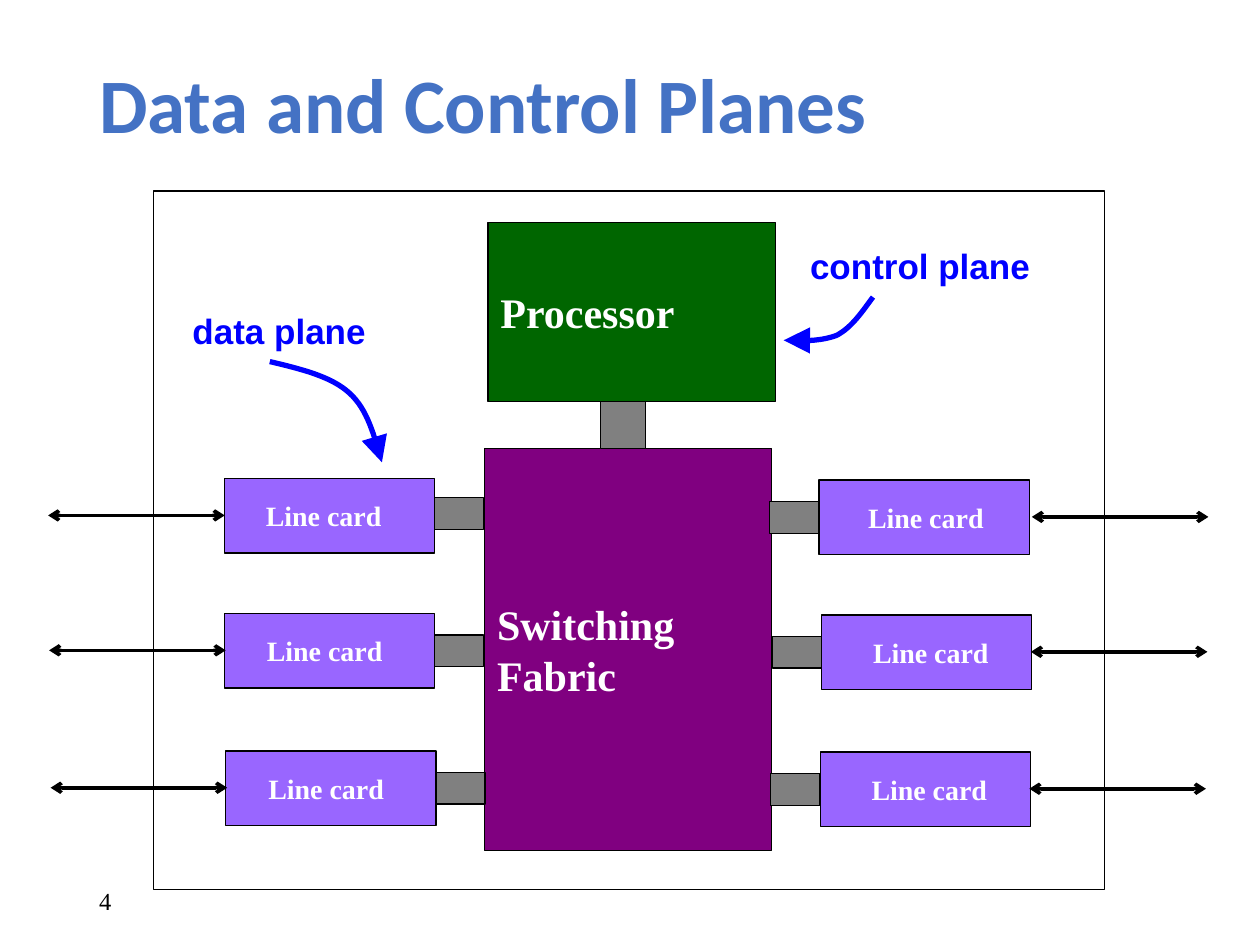
"""Build a slide showing the data and control planes of a router."""
from dataclasses import dataclass

import pptx
import pptx.dml.color
import pptx.enum.shapes
import pptx.enum.text
import pptx.oxml
import pptx.oxml.ns
import pptx.shapes.base
import pptx.slide
import pptx.util

Cm = pptx.util.Cm
Pt = pptx.util.Pt
RGBColor = pptx.dml.color.RGBColor
Anchor = pptx.enum.text.MSO_ANCHOR

BLACK = RGBColor(0x00, 0x00, 0x00)
WHITE = RGBColor(0xFF, 0xFF, 0xFF)
TITLE_BLUE = RGBColor(0x44, 0x72, 0xC4)
PLANE_BLUE = RGBColor(0x00, 0x00, 0xFF)
PURPLE = RGBColor(0x80, 0x00, 0x80)
GREEN = RGBColor(0x00, 0x66, 0x00)
GREY = RGBColor(0x80, 0x80, 0x80)
VIOLET = RGBColor(0x99, 0x66, 0xFF)

CARD_WIDTH, CARD_HEIGHT = 4.24, 1.5
LINK_WIDTH, LINK_HEIGHT = 0.99, 0.64
WIRE_LENGTH = 3.56
CURVE_STEPS = 16

Point = tuple[float, float]


@dataclass(frozen=True)
class Area:
    left: float
    top: float
    width: float
    height: float

    def lengths(self) -> list[pptx.util.Length]:
        return [Cm(value) for value in (self.left, self.top, self.width, self.height)]


@dataclass(frozen=True)
class Style:
    font: str
    size: float
    color: RGBColor
    bold: bool = True


@dataclass(frozen=True)
class LineCard:
    left: float
    top: float
    link_left: float
    link_top: float
    label_left: float
    wire_left: float


@dataclass(frozen=True)
class Plane:
    name: str
    area: Area
    curve: list[Point]


TITLE = Style("Calibri", 44, TITLE_BLUE)
NUMBER = Style("Times New Roman", 14, BLACK, False)
BLOCK = Style("Times New Roman", 24, WHITE)
CARD = Style("Times New Roman", 16, WHITE)
PLANE = Style("Arial", 20, PLANE_BLUE)

LINE_CARDS = [
    LineCard(4.52, 9.65, 8.76, 10.03, 5.11, 0.97),
    LineCard(4.52, 12.37, 8.76, 12.8, 5.13, 0.99),
    LineCard(4.55, 15.14, 8.79, 15.57, 5.16, 1.02),
    LineCard(16.51, 9.68, 15.52, 10.11, 17.25, 20.8),
    LineCard(16.56, 12.4, 15.57, 12.83, 17.35, 20.78),
    LineCard(16.54, 15.16, 15.54, 15.6, 17.32, 20.75),
]

PLANES = [
    Plane("data plane", Area(3.63, 6.12, 4.6, 1.09),
          [(5.44, 7.29), (6.07, 7.44), (6.68, 7.59), (7.04, 7.92),
           (7.42, 8.26), (7.54, 8.79), (7.7, 9.32)]),
    Plane("control plane", Area(16.08, 4.8, 5.6, 1.09),
          [(17.6, 5.99), (17.37, 6.3), (17.17, 6.6), (16.87, 6.76),
           (16.56, 6.88), (16.18, 6.88), (15.8, 6.86)]),
]


def write(shape: pptx.shapes.base.BaseShape, lines: list[str], style: Style,
          anchor: Anchor = Anchor.TOP, wrap: bool = True, spacing: float = 1.0) -> None:
    frame = shape.text_frame
    frame.word_wrap = wrap
    frame.vertical_anchor = anchor
    for index, line in enumerate(lines):
        para = frame.add_paragraph() if index else frame.paragraphs[0]
        para.alignment = pptx.enum.text.PP_ALIGN.LEFT
        para.line_spacing = spacing
        span = para.add_run()
        span.text = line
        span.font.name = style.font
        span.font.size = Pt(style.size)
        span.font.bold = style.bold
        span.font.color.rgb = style.color


def add_label(page: pptx.slide.Slide, area: Area, text: str, style: Style,
              anchor: Anchor = Anchor.TOP, wrap: bool = True, spacing: float = 1.0) -> None:
    box = page.shapes.add_textbox(*area.lengths())
    write(box, [text], style, anchor, wrap, spacing)


def add_block(page: pptx.slide.Slide, area: Area,
              fill: RGBColor | None) -> pptx.shapes.base.BaseShape:
    rectangle = pptx.enum.shapes.MSO_SHAPE.RECTANGLE
    block = page.shapes.add_shape(rectangle, *area.lengths())
    block.shadow.inherit = False
    if fill is None:
        block.fill.background()
    else:
        block.fill.solid()
        block.fill.fore_color.rgb = fill
    block.line.color.rgb = BLACK
    block.line.width = Pt(0.75)
    return block


def add_arrowheads(shape: pptx.shapes.base.BaseShape, size: str, **ends: str) -> None:
    outline = shape.line._get_or_add_ln()
    for end, kind in ends.items():
        head = pptx.oxml.parse_xml(
            f'<a:{end} {pptx.oxml.ns.nsdecls("a")} type="{kind}" w="{size}" len="{size}"/>')
        outline.append(head)


def add_wire(page: pptx.slide.Slide, left: float, top: float) -> None:
    straight = pptx.enum.shapes.MSO_CONNECTOR.STRAIGHT
    wire = page.shapes.add_connector(
        straight, Cm(left), Cm(top), Cm(left + WIRE_LENGTH), Cm(top))
    wire.line.color.rgb = BLACK
    wire.line.width = Pt(2)
    add_arrowheads(wire, "med", headEnd="arrow", tailEnd="arrow")
    wire._element.spPr.append(
        pptx.oxml.parse_xml(f'<a:effectLst {pptx.oxml.ns.nsdecls("a")}/>'))


def bezier_points(curve: list[Point]) -> list[Point]:
    points = [curve[0]]
    for start in range(0, len(curve) - 1, 3):
        controls = curve[start:start + 4]
        for step in range(1, CURVE_STEPS + 1):
            t = step / CURVE_STEPS
            weights = ((1 - t) ** 3, 3 * t * (1 - t) ** 2, 3 * t ** 2 * (1 - t), t ** 3)
            x, y = (sum(weight * control[axis] for weight, control in zip(weights, controls))
                    for axis in (0, 1))
            points.append((x, y))
    return points


def add_plane(page: pptx.slide.Slide, plane: Plane) -> None:
    first, *others = [(Cm(x), Cm(y)) for x, y in bezier_points(plane.curve)]
    builder = page.shapes.build_freeform(*first)
    builder.add_line_segments(others, close=False)
    arrow = builder.convert_to_shape()
    arrow.shadow.inherit = False
    arrow.fill.background()
    arrow.line.color.rgb = PLANE_BLUE
    arrow.line.width = Pt(3)
    add_arrowheads(arrow, "lg", tailEnd="triangle")
    add_label(page, plane.area, plane.name, PLANE)


def add_line_card(page: pptx.slide.Slide, card: LineCard) -> None:
    add_block(page, Area(card.left, card.top, CARD_WIDTH, CARD_HEIGHT), VIOLET)
    add_block(page, Area(card.link_left, card.link_top, LINK_WIDTH, LINK_HEIGHT), GREY)
    add_label(page, Area(card.label_left, card.top + 0.28, 2.84, 0.94),
              "Line card", CARD, wrap=False)
    add_wire(page, card.wire_left, card.top + 0.74)


def main() -> None:
    deck = pptx.Presentation()
    deck.slide_width, deck.slide_height = Cm(25.4), Cm(19.05)
    page = deck.slides.add_slide(deck.slide_layouts[6])
    add_label(page, Area(1.75, 17.65, 5.72, 1.02), "4", NUMBER, Anchor.MIDDLE)
    add_label(page, Area(1.75, 0.35, 21.89, 3.68), "Data and Control Planes",
              TITLE, Anchor.MIDDLE, spacing=0.9)
    fabric = add_block(page, Area(9.77, 9.04, 5.79, 8.1), PURPLE)
    write(fabric, ["Switching", "Fabric"], BLOCK, Anchor.MIDDLE)
    processor = add_block(page, Area(9.84, 4.48, 5.79, 3.61), GREEN)
    write(processor, ["Processor"], BLOCK, Anchor.MIDDLE)
    add_block(page, Area(12.1, 8.1, 0.91, 0.95), GREY)
    for card in LINE_CARDS:
        add_line_card(page, card)
    add_block(page, Area(3.1, 3.85, 19.17, 14.09), None)
    for plane in PLANES:
        add_plane(page, plane)
    deck.save("out.pptx")


if __name__ == "__main__":
    main()
